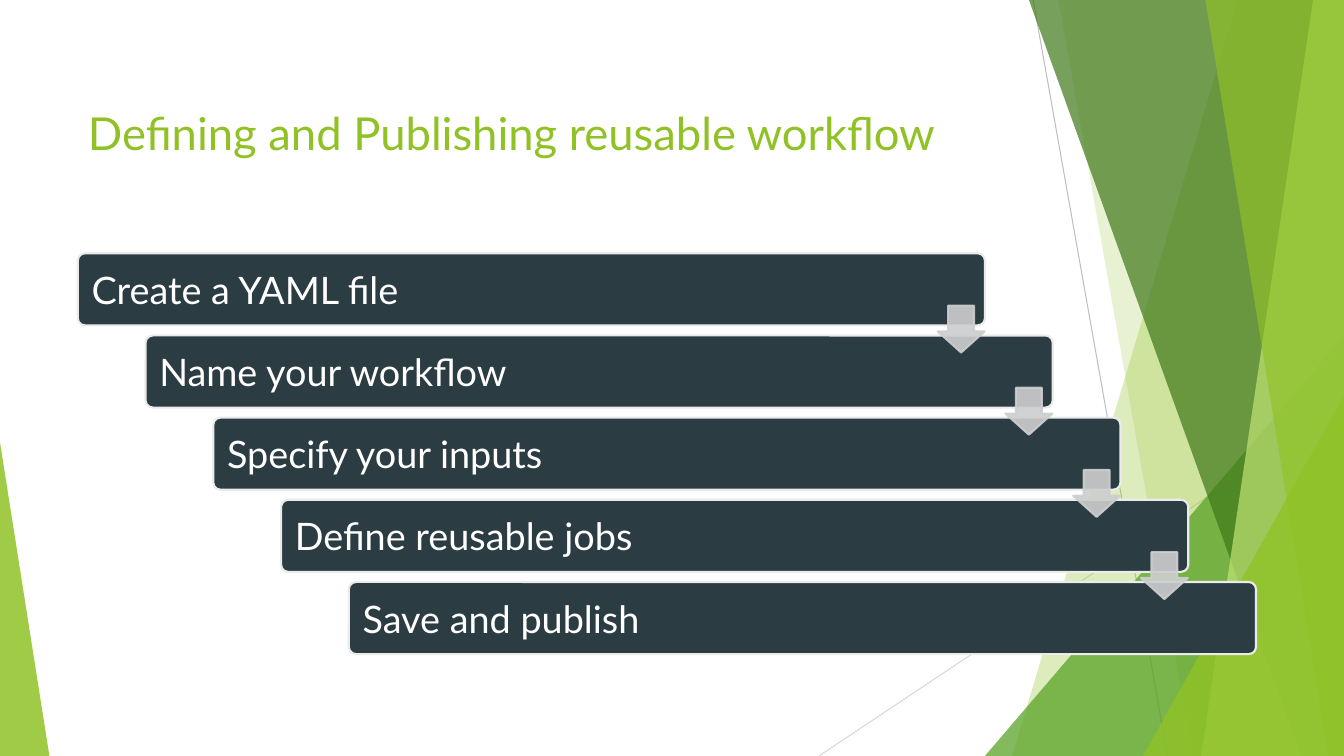
from lxml.etree import SubElement
from pptx import Presentation
from pptx.dml.color import RGBColor
from pptx.enum.shapes import MSO_CONNECTOR as Connector, MSO_SHAPE as Shape
from pptx.enum.text import MSO_ANCHOR as Anchor, PP_ALIGN as Align
from pptx.oxml.ns import qn
from pptx.util import Pt

COLORS = {
    "lime": "90C226", "green": "54A021", "forest": "3F7819", "pale": "C0E474",
    "slate": "2C3C43", "outline": "EBEBEB", "arrow": "CDCECF", "white": "FFFFFF",
    "ray": "BFBFBF", "light_ray": "D9D9D9",
}
FONT = "Lato"
WIDTH, HEIGHT = 960, 540


def write_text(text_frame, text, size=27, color="white", anchor=Anchor.MIDDLE, inset=7.2):
    text_frame.word_wrap = True
    text_frame.vertical_anchor = anchor
    text_frame.margin_left = text_frame.margin_right = Pt(inset)
    text_frame.margin_top = text_frame.margin_bottom = Pt(3.6)
    paragraph = text_frame.paragraphs[0]
    paragraph.alignment = Align.LEFT
    run = paragraph.add_run()
    run.text = text
    run.font.name = FONT
    run.font.size = Pt(size)
    run.font.color.rgb = RGBColor.from_string(COLORS[color])


class SlideBuilder:
    def __init__(self, presentation):
        self.slide = presentation.slides.add_slide(presentation.slide_layouts[5])
        self.shapes = self.slide.shapes

    def paint(self, fill_format, color, opacity=100):
        fill_format.solid()
        fill_format.fore_color.rgb = RGBColor.from_string(COLORS[color])
        if opacity < 100:
            # Each call sets one colour, so the newest element without alpha is it
            for element in fill_format._xPr.iterfind(qn("a:solidFill") + "/" + qn("a:srgbClr")):
                SubElement(element, qn("a:alpha"), val=str(opacity * 1000))

    def style(self, shape, fill, opacity=100, line=None):
        shape.shadow.inherit = False
        self.paint(shape.fill, fill, opacity)
        if line:
            shape.line.width = Pt(1.5)
            self.paint(shape.line.fill, line, opacity)
        else:
            shape.line.fill.background()
        return shape

    def title(self, text, left, top, width, height):
        title = self.shapes.title
        title.left, title.top, title.width, title.height = map(Pt, (left, top, width, height))
        write_text(title.text_frame, text, size=32.4, color="lime", anchor=Anchor.TOP)

    def ray(self, start, end, color):
        connector = self.shapes.add_connector(Connector.STRAIGHT, *map(Pt, start + end))
        connector.line.width = Pt(0.75)
        connector.line.color.rgb = RGBColor.from_string(COLORS[color])
        SubElement(connector._element.spPr, qn("a:effectLst"))

    def band(self, top_x, bottom_x, color, opacity):
        """Full-height band from a slanted left edge to the right slide edge."""
        builder = self.shapes.build_freeform(Pt(top_x), 0)
        corners = [(WIDTH, 0), (WIDTH, HEIGHT), (bottom_x, HEIGHT)]
        builder.add_line_segments([(Pt(x), Pt(y)) for x, y in corners], close=True)
        self.style(builder.convert_to_shape(), color, opacity)

    def preset(self, kind, left, top, width, height, fill, adjustments, opacity=100, line=None):
        shape = self.shapes.add_shape(kind, *map(Pt, (left, top, width, height)))
        for index, value in enumerate(adjustments):
            shape.adjustments[index] = value
        return self.style(shape, fill, opacity, line)

    def corner(self, left, top, width, color, opacity, apex):
        """Triangle standing on the bottom slide edge."""
        self.preset(Shape.ISOSCELES_TRIANGLE, left, top, width, HEIGHT - top,
                    color, [apex], opacity)


def main():
    presentation = Presentation()
    presentation.slide_width, presentation.slide_height = Pt(WIDTH), Pt(HEIGHT)
    builder = SlideBuilder(presentation)

    # Background facets
    builder.ray((738, 0), (834, HEIGHT), "ray")
    builder.ray((WIDTH, 290), (585, HEIGHT), "light_ray")
    builder.band(884, 723, "lime", 30)
    builder.band(756, 852, "lime", 20)
    builder.corner(703.5, 240, 256.5, "green", 72, apex=1)
    builder.band(735, 929.5, "forest", 70)
    builder.band(938, 858, "pale", 70)
    builder.band(861, 949, "lime", 65)
    builder.corner(816.5, 283, 143.5, "lime", 80, apex=1)
    builder.corner(0, 316, 35.3, "lime", 85, apex=0)

    # Title
    builder.title("Defining and Publishing reusable workflow", 55.6, 71.5, 841.5, 90.5)

    # Staircase of steps
    steps = ["Create a YAML file", "Name your workflow", "Specify your inputs",
             "Define reusable jobs", "Save and publish"]
    positions = [(55.6 + 48.4 * i, 180.9 + 58.7 * i) for i in range(len(steps))]
    for step, (left, top) in zip(steps, positions):
        bar = builder.preset(Shape.ROUNDED_RECTANGLE, left, top, 648, 51.5,
                             "slate", [0.1], line="outline")
        write_text(bar.text_frame, step, inset=8.3)

    # Arrows from each step to the next
    for left, top in positions[:-1]:
        builder.preset(Shape.DOWN_ARROW, left + 614.2, top + 37.4, 33.5, 33.5,
                       "arrow", [0.55, 0.45], opacity=90, line="arrow")

    presentation.save("out.pptx")


if __name__ == "__main__":
    main()
